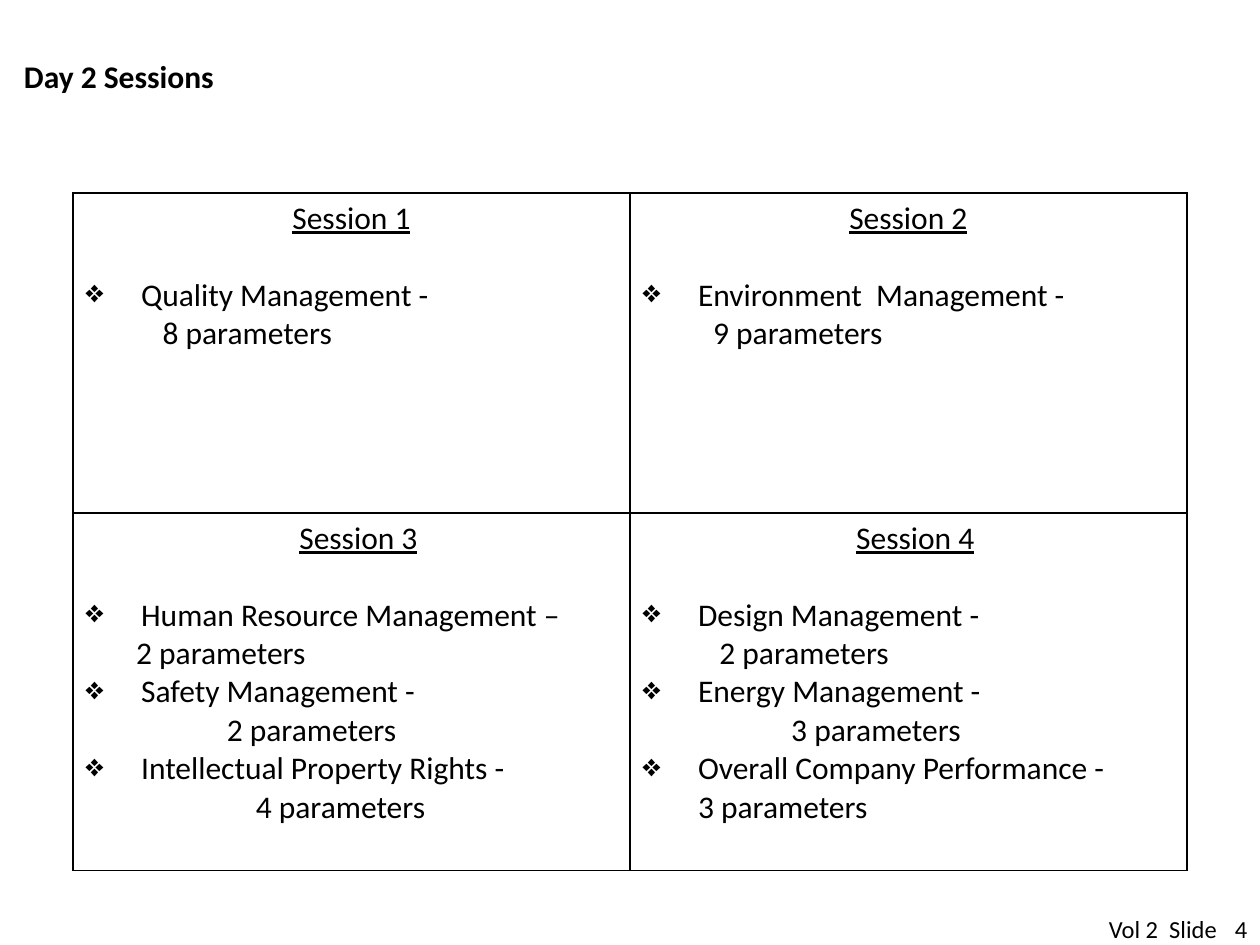
from lxml.etree import SubElement
from pptx import Presentation
from pptx.dml.color import RGBColor
from pptx.enum.text import MSO_ANCHOR, PP_ALIGN
from pptx.oxml.ns import qn
from pptx.util import Inches, Pt

BLACK = "000000"
FONT = "Calibri"
INDENT = 0.44
LINE_GAP = 22

SESSIONS = [
    [
        ("Session 1", 0, [("Quality Management -", "8 parameters", 0.61)]),
        ("Session 2", 0, [("Environment  Management -", "9 parameters", 0.56)]),
    ],
    [
        ("Session 3", 0.11, [
            ("Human Resource Management –", "2 parameters", 0.4),
            ("Safety Management -", "2 parameters", 1.12),
            ("Intellectual Property Rights -", "4 parameters", 1.35),
        ]),
        ("Session 4", 0.11, [
            ("Design Management -", "2 parameters", 0.61),
            ("Energy Management -", "3 parameters", 1.18),
            ("Overall Company Performance -", "3 parameters", INDENT),
        ]),
    ],
]


def color(value):
    return RGBColor.from_string(value)


def add_span(para, text, size, bold=False, underline=False):
    span = para.add_run()
    span.text = text
    span.font.name = FONT
    span.font.size = Pt(size)
    span.font.bold = bold
    span.font.underline = underline
    span.font.color.rgb = color(BLACK)


def set_indent(para, left, first=0, bullet=None):
    properties = para._p.get_or_add_pPr()
    properties.set("marL", str(Inches(left)))
    properties.set("indent", str(Inches(first)))
    if bullet:
        SubElement(properties, qn("a:buChar")).set("char", bullet)
    else:
        SubElement(properties, qn("a:buNone"))


def add_label(page, box, text, size, bold=False, align=PP_ALIGN.LEFT,
              anchor=MSO_ANCHOR.BOTTOM, wrap=True):
    label = page.shapes.add_textbox(*map(Inches, box))
    frame = label.text_frame
    frame.margin_left = frame.margin_right = 0
    frame.margin_top = frame.margin_bottom = 0
    frame.word_wrap = wrap
    frame.vertical_anchor = anchor
    para = frame.paragraphs[0]
    para.alignment = align
    add_span(para, text, size, bold)


def set_borders(cell):
    properties = cell._tc.get_or_add_tcPr()
    for side in ("a:lnL", "a:lnR", "a:lnT", "a:lnB"):
        line = SubElement(properties, qn(side), w=str(Pt(1)))
        fill = SubElement(line, qn("a:solidFill"))
        SubElement(fill, qn("a:srgbClr"), val=BLACK)


def fill_session(cell, heading, shift, topics):
    set_borders(cell)
    cell.fill.background()
    frame = cell.text_frame
    para = frame.paragraphs[0]
    set_indent(para, shift)
    para.alignment = PP_ALIGN.CENTER
    add_span(para, heading, 18, underline=True)
    for index, (topic, count, offset) in enumerate(topics):
        para = frame.add_paragraph()
        set_indent(para, INDENT, -INDENT, "❖")
        para.space_before = Pt(0 if index else LINE_GAP)
        add_span(para, topic, 18)
        para = frame.add_paragraph()
        set_indent(para, offset)
        add_span(para, count, 18)


def add_sessions(page, box):
    table = page.shapes.add_table(2, 2, *map(Inches, box)).table
    table.first_row = table.horz_banding = False
    for column in table.columns:
        column.width = Inches(box[2] / 2)
    for row, height, sessions in zip(table.rows, (2.54, 2.84), SESSIONS):
        row.height = Inches(height)
        for cell, session in zip(row.cells, sessions):
            fill_session(cell, *session)


def add_footer(page, box):
    left, top, width, height = box
    add_label(page, (left, top, 0.87, height), "Vol 2  Slide", 14, wrap=False)
    add_label(page, (left + width - 0.37, top, 0.37, height), "4", 14,
              align=PP_ALIGN.RIGHT)


def main():
    deck = Presentation()
    deck.slide_width = Inches(10)
    deck.slide_height = Inches(7.5)
    page = deck.slides.add_slide(deck.slide_layouts[6])
    add_footer(page, (8.8, 7.25, 1.1, 0.24))
    add_label(page, (0.19, 0.45, 7.65, 0.3), "Day 2 Sessions", 18, bold=True)
    add_sessions(page, (0.58, 1.53, 8.84, 5.38))
    deck.save("out.pptx")


if __name__ == "__main__":
    main()
